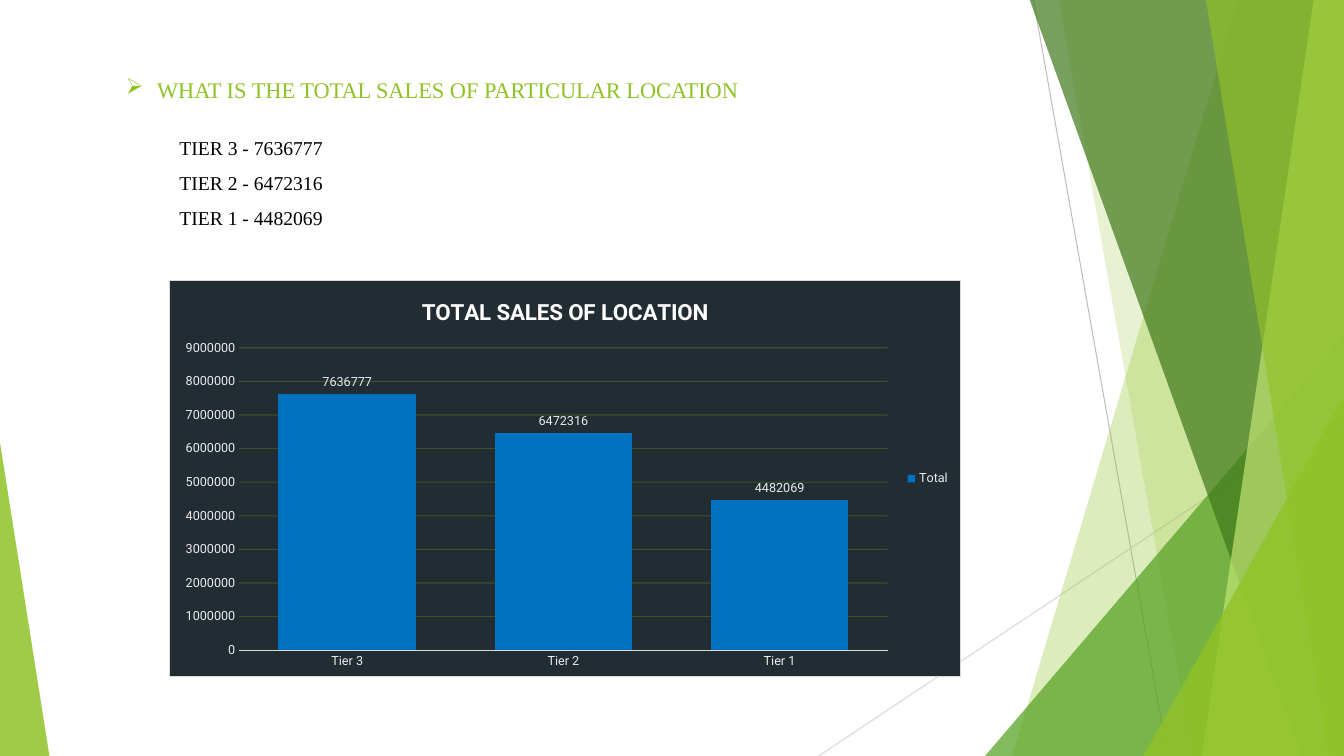
"""Build the slide on total sales by location, with its green facet frame."""
from lxml import etree
from pptx import Presentation
from pptx.chart.data import CategoryChartData
from pptx.dml.color import RGBColor
from pptx.enum.chart import XL_CHART_TYPE, XL_LABEL_POSITION, XL_LEGEND_POSITION, XL_TICK_MARK
from pptx.enum.shapes import MSO_CONNECTOR, MSO_SHAPE
from pptx.enum.text import MSO_AUTO_SIZE
from pptx.oxml import parse_xml
from pptx.oxml.ns import nsdecls, qn
from pptx.util import Inches, Pt

COLUMN = XL_CHART_TYPE.COLUMN_CLUSTERED
OUTSIDE_END = XL_LABEL_POSITION.OUTSIDE_END
LEGEND_RIGHT = XL_LEGEND_POSITION.RIGHT
NO_TICK = XL_TICK_MARK.NONE
STRAIGHT = MSO_CONNECTOR.STRAIGHT
TRIANGLE = MSO_SHAPE.ISOSCELES_TRIANGLE
GROW = MSO_AUTO_SIZE.SHAPE_TO_FIT_TEXT

WIDTH, HEIGHT = 13.33, 7.5
TOP = -0.01
SERIF, SANS = "Times New Roman", "Roboto"
COLORS = {
    "lime": "90C226", "green": "54A021", "forest": "3F7819", "pale": "C0E474",
    "rule": "BFBFBF", "border": "D9D9D9", "grid": "6C921D", "panel": "212D32",
    "bar": "0070C0", "label": "EBEBEB", "white": "FFFFFF", "black": "000000",
}
SALES = {"Tier 3": 7636777, "Tier 2": 6472316, "Tier 1": 4482069}


def set_font(font, face, size, color, bold=False):
    font.name, font.size, font.bold = face, Pt(size), bold
    font.color.rgb = RGBColor.from_string(COLORS[color])


def set_opacity(element, percent):
    for color in element.iter(qn("a:srgbClr")):
        etree.SubElement(color, qn("a:alpha"), val=str(percent * 1000))


prs = Presentation()
prs.slide_width, prs.slide_height = Inches(WIDTH), Inches(HEIGHT)
slide = prs.slides.add_slide(prs.slide_layouts[6])
shapes = slide.shapes

for x1, y1, x2, y2, color in [
    (10.25, 0, 11.58, HEIGHT, "rule"),
    (WIDTH, 4.03, 8.12, HEIGHT, "border"),
]:
    hairline = shapes.add_connector(STRAIGHT, Inches(x1), Inches(y1), Inches(x2), Inches(y2))
    hairline.line.color.rgb = RGBColor.from_string(COLORS[color])
    hairline.line.width = Pt(0.75)
    etree.SubElement(hairline.element.spPr, qn("a:effectLst"))

bands = [
    ("band", 12.28, 10.04, "lime", 30),
    ("band", 10.5, 11.83, "lime", 20),
    ("wedge", 9.77, 3.33, "green", 72),
    ("band", 10.21, 12.91, "forest", 70),
    ("band", 13.03, 11.92, "pale", 70),
    ("band", 11.96, 13.18, "lime", 65),
    ("wedge", 11.34, 3.93, "lime", 80),
    ("corner", 0.49, 4.39, "lime", 85),
]
for kind, first, second, color, opacity in bands:
    if kind == "band":
        outline = shapes.build_freeform(Inches(first), Inches(TOP))
        corners = [(WIDTH, TOP), (WIDTH, HEIGHT), (second, HEIGHT)]
        outline.add_line_segments([(Inches(x), Inches(y)) for x, y in corners])
        facet = outline.convert_to_shape()
    else:
        left, right, apex = (first, WIDTH, 1) if kind == "wedge" else (0, first, 0)
        facet = shapes.add_shape(TRIANGLE, Inches(left), Inches(second),
                                 Inches(right - left), Inches(HEIGHT - second))
        facet.adjustments[0] = apex
    facet.shadow.inherit = False
    facet.fill.solid()
    facet.fill.fore_color.rgb = RGBColor.from_string(COLORS[color])
    facet.line.fill.background()
    set_opacity(facet.element.spPr, opacity)

tier_lines = [f"{tier.upper()} - {total}" for tier, total in SALES.items()]
question = ["WHAT IS THE TOTAL SALES OF PARTICULAR LOCATION"]
for box, lines, size, color, bullet in [
    ((1.68, 1.18, 2.01, 1.12), tier_lines, 14, "black", None),
    ((1.15, 0.57, 7.73, 0.46), question, 16, "lime", "➢"),
]:
    frame = shapes.add_textbox(*map(Inches, box)).text_frame
    frame.word_wrap = True
    frame.auto_size = GROW
    frame.text = "\n".join(lines)
    for paragraph in frame.paragraphs:
        paragraph.line_spacing = 1.5
        if bullet:
            properties = paragraph._p.get_or_add_pPr()
            properties.set("marL", str(Inches(0.31)))
            properties.set("indent", str(Inches(-0.31)))
            etree.SubElement(properties, qn("a:buChar"), char=bullet)
        set_font(paragraph.font, SERIF, size, color)

sales_data = CategoryChartData()
sales_data.categories = list(SALES)
sales_data.add_series("Total", list(SALES.values()))
chart = shapes.add_chart(COLUMN, Inches(1.68), Inches(2.78), Inches(7.85), Inches(3.94),
                         sales_data).chart
set_font(chart.font, SANS, 10, "black")
chart.has_title = True
title = chart.chart_title.text_frame
title.text = "TOTAL SALES OF LOCATION"
set_font(title.paragraphs[0].font, SANS, 16, "white", True)
chart.chart_title.include_in_layout = False
chart.has_legend = True
chart.legend.position = LEGEND_RIGHT
chart.legend.include_in_layout = False
set_font(chart.legend.font, SANS, 9, "label")

for axis in (chart.category_axis, chart.value_axis):
    axis.major_tick_mark = axis.minor_tick_mark = NO_TICK
    set_font(axis.tick_labels.font, SANS, 9, "label")
chart.category_axis.format.line.color.rgb = RGBColor.from_string(COLORS["border"])
chart.category_axis.format.line.width = Pt(0.75)
totals = chart.value_axis
totals.minimum_scale, totals.maximum_scale, totals.major_unit = 0, 9000000, 1000000
totals.format.line.fill.background()
totals.major_gridlines.format.line.color.rgb = RGBColor.from_string(COLORS["grid"])
totals.major_gridlines.format.line.width = Pt(0.75)
chart_space = chart.element
set_opacity(next(chart_space.iter(qn("c:majorGridlines"))), 36)

plot = chart.plots[0]
plot.gap_width, plot.overlap = 57, -27
plot.vary_by_categories = False
bars = plot.series[0]
bars.format.fill.solid()
bars.format.fill.fore_color.rgb = RGBColor.from_string(COLORS["bar"])
labels = bars.data_labels
labels.show_value = True
labels.position = OUTSIDE_END
set_font(labels.font, SANS, 9, "label")

panel = parse_xml(
    f'<c:spPr {nsdecls("c", "a")}>'
    f'<a:solidFill><a:srgbClr val="{COLORS["panel"]}"/></a:solidFill>'
    f'<a:ln w="{Pt(0.75)}"><a:solidFill><a:srgbClr val="{COLORS["border"]}"/></a:solidFill></a:ln>'
    '</c:spPr>'
)
chart_space.find(qn("c:chart")).addnext(panel)

prs.save("out.pptx")
